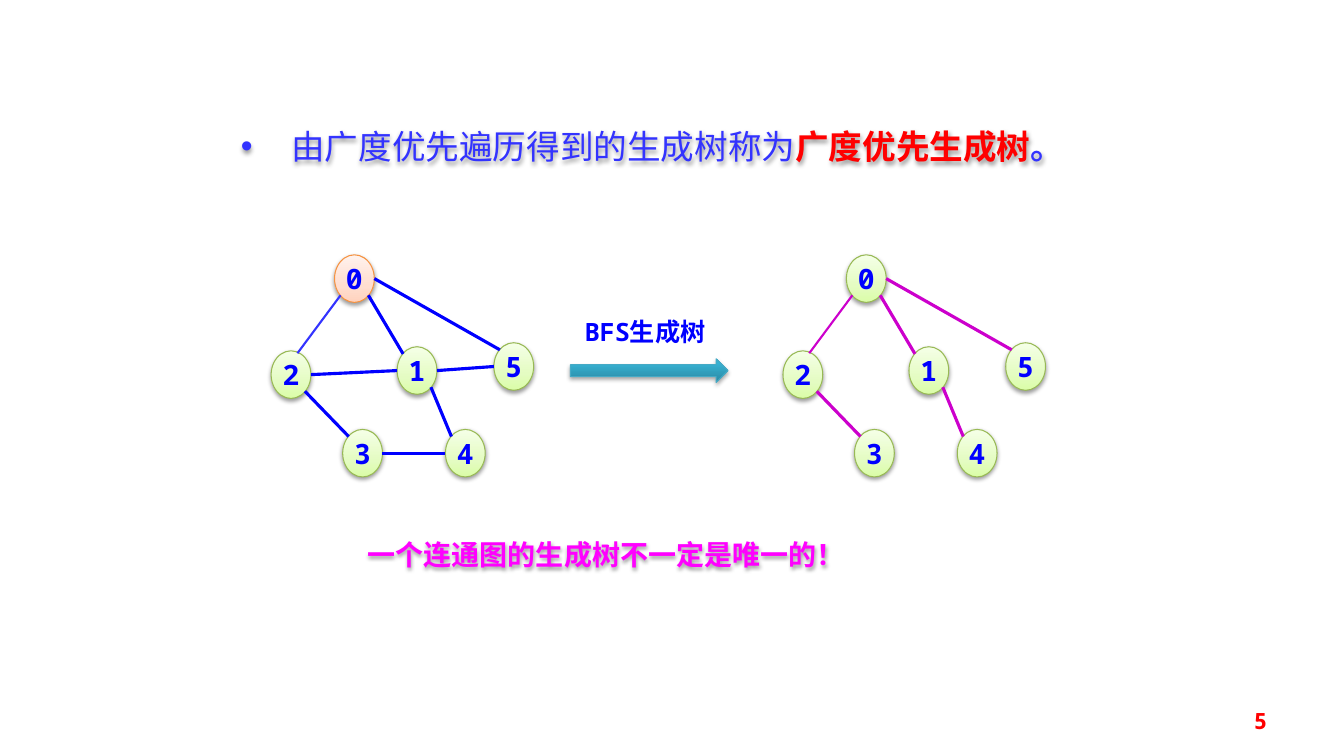
from lxml import etree
from pptx import Presentation
from pptx.dml.color import RGBColor
from pptx.enum.lang import MSO_LANGUAGE_ID
from pptx.enum.shapes import MSO_CONNECTOR, MSO_SHAPE
from pptx.enum.text import MSO_ANCHOR, PP_ALIGN
from pptx.oxml.ns import qn
from pptx.util import Pt

LEFT, CENTER, RIGHT, JUSTIFY = PP_ALIGN.LEFT, PP_ALIGN.CENTER, PP_ALIGN.RIGHT, PP_ALIGN.JUSTIFY
TOP, MIDDLE = MSO_ANCHOR.TOP, MSO_ANCHOR.MIDDLE
CHINESE = MSO_LANGUAGE_ID.SIMPLIFIED_CHINESE
SERIF, MONO = "Times New Roman", "Noto Sans Mono"

COLORS = {
    "blue": "0000FF", "soft_blue": "3333FF", "red": "FF0000", "magenta": "FF00FF",
    "purple": "CC00CC", "green_rim": "98B955", "orange_rim": "F69240",
    "arrow_rim": "46AAC5", "black": "000000",
}
GREEN = [(0, "DAFDA7"), (35, "E4FCC2"), (100, "F5FFE7")]
ORANGE = [(0, "FFD2BD"), (35, "FFDED0"), (100, "FFF2ED")]
TEAL = [(0, "2A88A2"), (80, "37B1D2"), (100, "34B4D6")]

# Runs: text, colour, bold
HEADING = [("由广度优先遍历得到的生成树称为", "soft_blue", False),
           ("广度优先生成树", "red", True),
           ("。", "soft_blue", True)]
ARROW_LABEL = [("BFS生成树", "blue", True)]
REMARK = [("一个连通图的生成树不一定是唯一的！", "magenta", True)]
PAGE_NUMBER = [("5", "red", True)]

# Left and top of each vertex, in points
NODES = {"0": (239, 182), "1": (283.7, 247.7), "2": (193.7, 250.6),
         "3": (244.8, 306.7), "4": (318.2, 306.7), "5": (352.8, 244.8)}
NODE_W, NODE_H = 28.4, 34
TREE_SHIFT = 365.6

# Places on a vertex, as fractions of its width and height
SITES = {"left": (0, 0.5), "right": (1, 0.5), "top_left": (0.15, 0.15),
         "bottom_left": (0.15, 0.85), "bottom_right": (0.85, 0.85), "upper": (0.66, 0.05)}
THIN_EDGE = ("0", "bottom_left", "2", "upper")
TREE_EDGES = [("2", "bottom_right", "3", "top_left"),
              ("0", "bottom_right", "1", "top_left"),
              ("1", "bottom_right", "4", "top_left"),
              ("0", "right", "5", "top_left")]
OTHER_EDGES = [("2", "right", "1", "left"),
               ("1", "right", "5", "left"),
               ("3", "right", "4", "left")]


def rgb(name):
    return RGBColor.from_string(COLORS[name])


def add_shadow(shape, opacity, distance):
    shape.shadow.inherit = False
    effects = shape._element.spPr.find(qn("a:effectLst"))
    shadow = etree.SubElement(effects, qn("a:outerShdw"), blurRad=str(Pt(3.1)),
                              dist=str(Pt(distance)), dir="5400000", rotWithShape="0")
    color = etree.SubElement(shadow, qn("a:srgbClr"), val=COLORS["black"])
    etree.SubElement(color, qn("a:alpha"), val=str(opacity * 1000))


def fill_gradient(shape, stops, rim):
    """Vertical gradient, first stop at the bottom, with a thin rim."""
    shape.fill.gradient()
    shape.fill.gradient_angle = 90
    stop_list = shape._element.spPr.find(".//" + qn("a:gsLst"))
    for old_stop in list(stop_list):
        stop_list.remove(old_stop)
    for position, color in stops:
        stop = etree.SubElement(stop_list, qn("a:gs"), pos=str(position * 1000))
        etree.SubElement(stop, qn("a:srgbClr"), val=color)
    shape.line.color.rgb = rgb(rim)
    shape.line.width = Pt(0.75)


def write(shape, runs, size, font, align, anchor=TOP, wrap=True):
    frame = shape.text_frame
    frame.word_wrap = wrap
    frame.vertical_anchor = anchor
    paragraph = frame.paragraphs[0]
    paragraph.alignment = align
    for text, color, bold in runs:
        run = paragraph.add_run()
        run.text = text
        run.font.name, run.font.size, run.font.bold = font, Pt(size), bold
        run.font.color.rgb = rgb(color)
        run.font.language_id = CHINESE
    return paragraph


def add_text(shapes, box, *text_style, **layout):
    label = shapes.add_textbox(*map(Pt, box))
    return label, write(label, *text_style, **layout)


def site(node, name, shift):
    (left, top), (across, down) = NODES[node], SITES[name]
    return Pt(left + shift + across * NODE_W), Pt(top + down * NODE_H)


def add_node(shapes, node, shift, stops, rim):
    left, top = NODES[node]
    oval = shapes.add_shape(MSO_SHAPE.OVAL, Pt(left + shift), Pt(top), Pt(NODE_W), Pt(NODE_H))
    fill_gradient(oval, stops, rim)
    add_shadow(oval, 38, 1.6)
    write(oval, [(node, "blue", True)], 20, MONO, CENTER, MIDDLE, wrap=False)


def add_graph(shapes, shift, edges, edge_color, thin_color, start_style):
    for node in NODES:
        style = start_style if node == "0" else (GREEN, "green_rim")
        add_node(shapes, node, shift, *style)

    start, start_site, end, end_site = THIN_EDGE
    outline = shapes.build_freeform(*site(start, start_site, shift))
    outline.add_line_segments([site(end, end_site, shift)], close=False)
    thin_line = outline.convert_to_shape()
    thin_line.fill.background()
    thin_line.shadow.inherit = False
    thin_line.line.color.rgb = rgb(thin_color)
    thin_line.line.width = Pt(1.5)

    for start, start_site, end, end_site in edges:
        edge = shapes.add_connector(MSO_CONNECTOR.STRAIGHT, *site(start, start_site, shift),
                                    *site(end, end_site, shift))
        edge.line.color.rgb = rgb(edge_color)
        edge.line.width = Pt(2.25)
        etree.SubElement(edge._element.spPr, qn("a:effectLst"))


def add_heading(shapes):
    heading, paragraph = add_text(shapes, (165, 72, 613.5, 45.4), HEADING, 24, SERIF, JUSTIFY)
    add_shadow(heading, 38, 1.6)
    paragraph.line_spacing = 1.5
    properties = paragraph._p.get_or_add_pPr()
    properties.set("marL", str(Pt(36)))
    properties.set("indent", str(Pt(-36)))
    etree.SubElement(properties, qn("a:buFont"), typeface="Arial")
    etree.SubElement(properties, qn("a:buChar"), char="•")


def add_step(shapes):
    arrow = shapes.add_shape(MSO_SHAPE.RIGHT_ARROW, Pt(407.5), Pt(256.3), Pt(112.5), Pt(16.9))
    fill_gradient(arrow, TEAL, "arrow_rim")
    add_shadow(arrow, 35, 1.8)
    add_text(shapes, (396, 222.5, 129.6, 29), ARROW_LABEL, 18, MONO, CENTER)


def main():
    deck = Presentation()
    deck.slide_width, deck.slide_height = Pt(960), Pt(540)
    shapes = deck.slides.add_slide(deck.slide_layouts[6]).shapes

    add_heading(shapes)
    add_graph(shapes, 0, TREE_EDGES + OTHER_EDGES, "blue", "soft_blue", (ORANGE, "orange_rim"))
    add_step(shapes.add_group_shape().shapes)
    add_graph(shapes.add_group_shape().shapes, TREE_SHIFT, TREE_EDGES, "purple", "purple",
              (GREEN, "green_rim"))
    remark, _ = add_text(shapes, (255.6, 380.2, 455.8, 31.5), REMARK, 20, SERIF, LEFT)
    add_shadow(remark, 38, 1.6)
    add_text(shapes, (688.3, 500.4, 224, 28.8), PAGE_NUMBER, 16, MONO, RIGHT, anchor=MIDDLE)

    deck.save("out.pptx")


if __name__ == "__main__":
    main()
